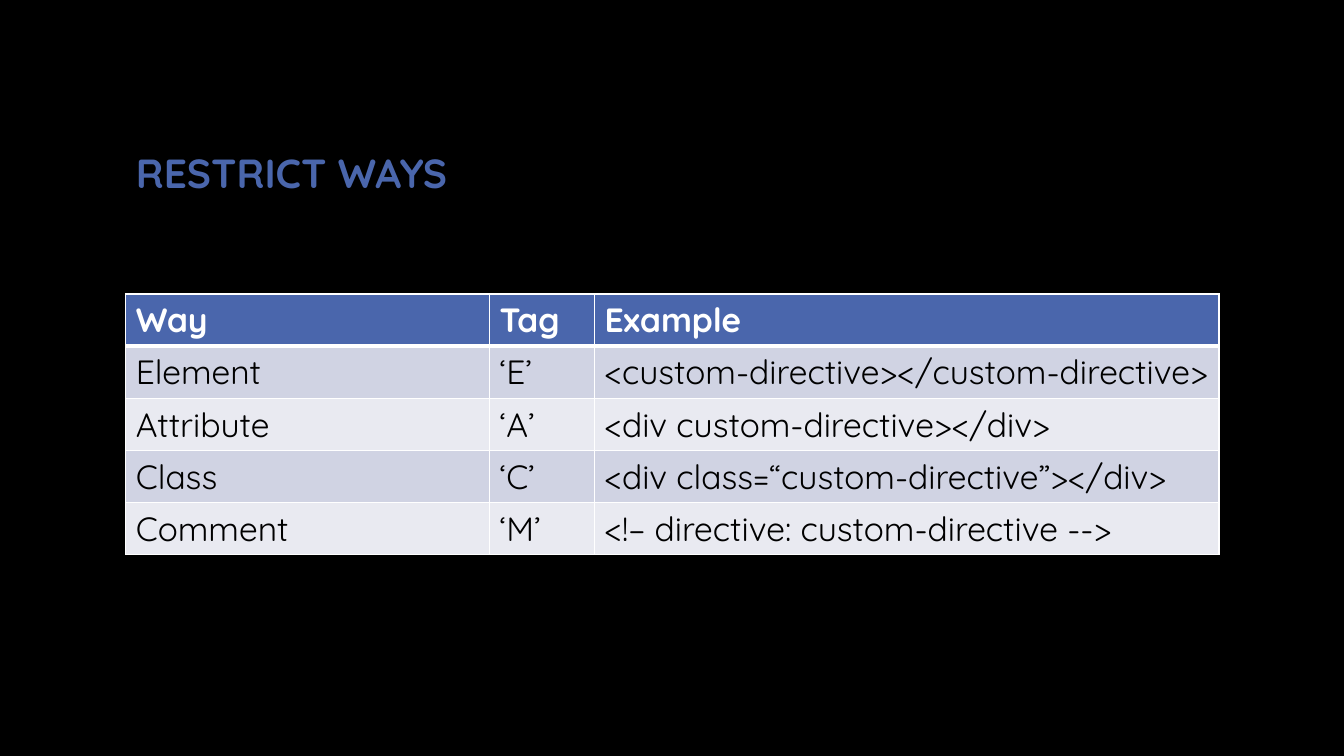
from lxml import etree
from pptx import Presentation
from pptx.dml.color import RGBColor
from pptx.enum.text import MSO_ANCHOR, MSO_AUTO_SIZE, PP_ALIGN
from pptx.oxml.ns import qn
from pptx.util import Cm, Pt

LEFT = PP_ALIGN.LEFT
MIDDLE = MSO_ANCHOR.MIDDLE
NO_AUTOFIT = MSO_AUTO_SIZE.NONE
TITLE_ONLY = 5

BLUE, WHITE, BLACK = "4A66AC", "FFFFFF", "000000"
BANDS = ("D0D3E3", "E9EAF1")

ROWS = [
    ("Way", "Tag", "Example"),
    ("Element", "‘E’", "<custom-directive></custom-directive>"),
    ("Attribute", "‘A’", "<div custom-directive></div>"),
    ("Class", "‘C’", "<div class=“custom-directive”></div>"),
    ("Comment", "‘M’", "<!– directive: custom-directive -->"),
]


def set_attributes(target, values):
    for name, value in values.items():
        setattr(target, name, value)


def paint(color_format, color):
    color_format.rgb = RGBColor.from_string(color)


class SlideBuilder:
    font_name = "Quicksand"
    left, width = Cm(3.17), Cm(27.55)

    def __init__(self, presentation):
        self.slide = presentation.slides.add_slide(presentation.slide_layouts[TITLE_ONLY])

    def background(self, color):
        fill = self.slide.background.fill
        fill.solid()
        paint(fill.fore_color, color)

    def text(self, frame, text, size, color, bold):
        paragraph = frame.paragraphs[0]
        paragraph.alignment = LEFT
        run = paragraph.add_run()
        run.text = text
        set_attributes(run.font, {"name": self.font_name, "size": Pt(size), "bold": bold})
        paint(run.font.color, color)

    def title(self, text):
        shape = self.slide.shapes.title
        set_attributes(shape, {"left": self.left, "top": Cm(1.7),
                               "width": self.width, "height": Cm(5.28)})
        set_attributes(shape.text_frame, {"vertical_anchor": MIDDLE, "word_wrap": True,
                                          "auto_size": NO_AUTOFIT})
        self.text(shape.text_frame, text, 29, BLUE, True)

    def borders(self, cell, widths):
        properties = cell._tc.get_or_add_tcPr()
        for side, width in widths.items():
            line = etree.SubElement(properties, qn(f"a:ln{side}"), w=str(Pt(width)))
            fill = etree.SubElement(line, qn("a:solidFill"))
            etree.SubElement(fill, qn("a:srgbClr"), val=WHITE)

    def table(self, rows, top, column_widths, row_height):
        frame = self.slide.shapes.add_table(len(rows), len(column_widths), self.left, top,
                                            self.width, row_height * len(rows))
        table = frame.table
        for column, width in zip(table.columns, column_widths):
            column.width = width
        for row_index, row in enumerate(rows):
            table.rows[row_index].height = row_height
            header = row_index == 0
            fill_color = BLUE if header else BANDS[(row_index - 1) % 2]
            # The rule below the header is shared with the first body row
            widths = {"L": 1, "R": 1, "T": 3 if row_index == 1 else 1, "B": 3 if header else 1}
            for column_index, text in enumerate(row):
                cell = table.cell(row_index, column_index)
                self.borders(cell, widths)
                cell.fill.solid()
                paint(cell.fill.fore_color, fill_color)
                self.text(cell.text_frame, text, 24, WHITE if header else BLACK, header)


def main():
    presentation = Presentation()
    set_attributes(presentation, {"slide_width": Cm(33.87), "slide_height": Cm(19.05)})
    builder = SlideBuilder(presentation)

    # Background and heading
    builder.background(BLACK)
    builder.title("RESTRICT WAYS")

    # Table of restrict ways
    builder.table(ROWS, Cm(7.41), (Cm(9.17), Cm(2.64), Cm(15.74)), Cm(1.03))

    presentation.save("out.pptx")


if __name__ == "__main__":
    main()
